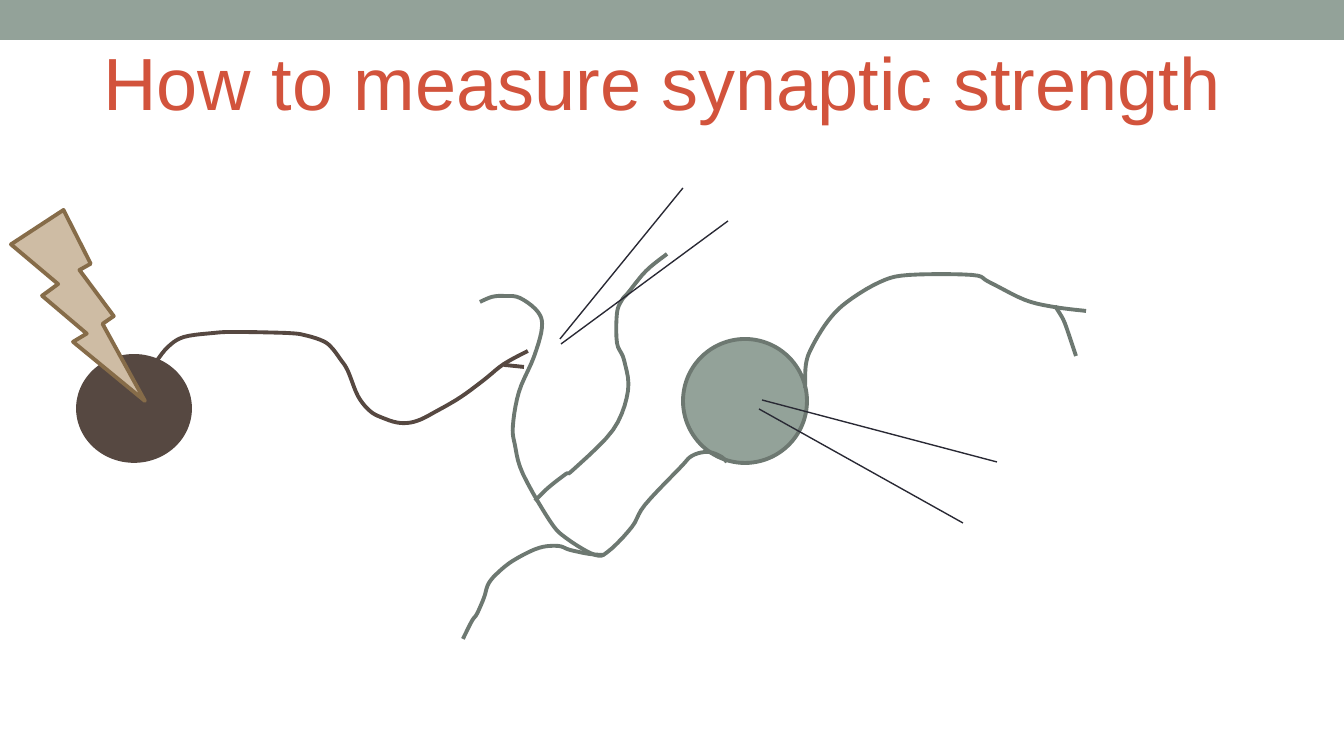
from lxml.etree import SubElement
from pptx import Presentation
from pptx.dml.color import RGBColor
from pptx.enum.shapes import MSO_CONNECTOR, MSO_SHAPE
from pptx.enum.text import MSO_ANCHOR, PP_ALIGN
from pptx.oxml.ns import qn
from pptx.util import Pt

EMU_PER_PX = 914400 / 134.4
WIDTH, HEIGHT = 1344, 756
CURVE_STEPS = 5
OUTLINE, THIN = Pt(2.08), Pt(0.75)

SAGE = RGBColor(0x93, 0xA2, 0x99)
DARK_SAGE = RGBColor(0x6D, 0x78, 0x71)
BROWN = RGBColor(0x56, 0x48, 0x41)
TAN = RGBColor(0xCE, 0xBC, 0xA4)
DARK_TAN = RGBColor(0x86, 0x6C, 0x49)
RED = RGBColor(0xD2, 0x53, 0x3C)
INK = RGBColor(0x29, 0x29, 0x34)

TITLE = "How to measure synaptic strength"
TITLE_BOX = (90, 26, 1199, 109)
HEADER_BOX = (0, 0, WIDTH, 40)
POSTSYNAPTIC_SOMA = (683, 339, 124, 124)
PRESYNAPTIC_SOMA = (78, 356, 112, 105)
STIMULUS_BOLT = (11, 210, 134, 191)

# Points that each curve passes through
POSTSYNAPTIC_BRANCHES = {
    "main dendrite": [
        (727, 462), (720, 456), (707, 452), (692, 456), (680, 468), (645, 505),
        (632, 527), (609, 551), (595, 555), (566, 538), (550, 521), (523, 474),
        (515, 445), (513, 426), (519, 392), (534, 357), (542, 328), (538, 312),
        (520, 298), (504, 296), (492, 297), (480, 302)],
    "upper dendrite": [
        (535, 501), (548, 488), (566, 474), (573, 470), (613, 430), (628, 391),
        (624, 360), (617, 343), (617, 313), (622, 300), (628, 293), (646, 271),
        (667, 254)],
    "lower dendrite": [
        (603, 555), (589, 554), (570, 550), (558, 546), (539, 548), (516, 559),
        (501, 570), (489, 583), (484, 598), (477, 614), (472, 621), (463, 639)],
    "axon": [
        (805, 388), (806, 364), (812, 347), (828, 321), (847, 302), (880, 282),
        (909, 275), (972, 275), (989, 282), (1025, 300), (1054, 307), (1086, 311)],
    "axon twig": [(1055, 306), (1063, 319), (1068, 332), (1076, 356)],
}
PRESYNAPTIC_BRANCHES = {
    "axon": [
        (156, 362), (168, 347), (184, 337), (214, 333), (235, 332), (286, 333),
        (304, 335), (323, 341), (332, 348), (341, 360), (348, 371), (358, 396),
        (370, 411), (383, 418), (400, 423), (417, 421), (437, 411), (461, 397),
        (484, 380), (504, 364), (528, 351)],
    "axon twig": [(504, 365), (524, 367)],
}
ELECTRODES = {
    "recording": [((762, 400), (997, 462)), ((759, 409), (963, 523))],
    "stimulating": [((560, 339), (683, 188)), ((561, 344), (728, 221))],
}


def px(*lengths):
    return [round(length * EMU_PER_PX) for length in lengths]


def add_preset(shapes, preset, box, fill, line=None):
    shape = shapes.add_shape(preset, *px(*box))
    shape.shadow.inherit = False
    shape.fill.solid()
    shape.fill.fore_color.rgb = fill
    if line is None:
        shape.line.fill.background()
    else:
        shape.line.color.rgb = line
        shape.line.width = OUTLINE


def smooth(points):
    """Return points along a Catmull-Rom spline through the given points."""
    padded = [points[0], *points, points[-1]]
    curve = [points[0]]
    for a, b, c, d in zip(padded, padded[1:], padded[2:], padded[3:]):
        for step in range(1, CURVE_STEPS + 1):
            t = step / CURVE_STEPS
            curve.append(tuple(
                q + ((r - p) * t + (2 * p - 5 * q + 4 * r - s) * t ** 2
                     + (3 * q - p - 3 * r + s) * t ** 3) / 2
                for p, q, r, s in zip(a, b, c, d)))
    return curve


def add_branch(shapes, points, color):
    start, *rest = [px(*point) for point in smooth(points)]
    builder = shapes.build_freeform(*start)
    builder.add_line_segments(rest, close=False)
    shape = builder.convert_to_shape()
    shape.shadow.inherit = False
    shape.fill.background()
    shape.line.color.rgb = color
    shape.line.width = OUTLINE


def add_electrode(shapes, lines):
    group = shapes.add_group_shape()
    for start, end in lines:
        line = group.shapes.add_connector(
            MSO_CONNECTOR.STRAIGHT, *px(*start), *px(*end))
        line.line.color.rgb = INK
        line.line.width = THIN
        SubElement(line._element.spPr, qn("a:effectLst"))


def set_title(title):
    title.left, title.top, title.width, title.height = px(*TITLE_BOX)
    frame = title.text_frame
    frame.text = TITLE
    frame.word_wrap = True
    frame.vertical_anchor = MSO_ANCHOR.MIDDLE
    paragraph = frame.paragraphs[0]
    paragraph.alignment = PP_ALIGN.LEFT
    font = paragraph.runs[0].font
    font.name, font.size, font.color.rgb = "Arial", Pt(39.6), RED


def main():
    presentation = Presentation()
    presentation.slide_width, presentation.slide_height = px(WIDTH, HEIGHT)
    slide = presentation.slides.add_slide(presentation.slide_layouts[5])
    shapes = slide.shapes
    set_title(shapes.title)
    add_preset(shapes, MSO_SHAPE.RECTANGLE, HEADER_BOX, SAGE)

    add_preset(shapes, MSO_SHAPE.OVAL, POSTSYNAPTIC_SOMA, SAGE, DARK_SAGE)
    for points in POSTSYNAPTIC_BRANCHES.values():
        add_branch(shapes, points, DARK_SAGE)

    presynaptic = shapes.add_group_shape().shapes
    add_preset(presynaptic, MSO_SHAPE.OVAL, PRESYNAPTIC_SOMA, BROWN, BROWN)
    for points in PRESYNAPTIC_BRANCHES.values():
        add_branch(presynaptic, points, BROWN)

    add_preset(shapes, MSO_SHAPE.LIGHTNING_BOLT, STIMULUS_BOLT, TAN, DARK_TAN)
    for lines in ELECTRODES.values():
        add_electrode(shapes, lines)
    presentation.save("out.pptx")


if __name__ == "__main__":
    main()
